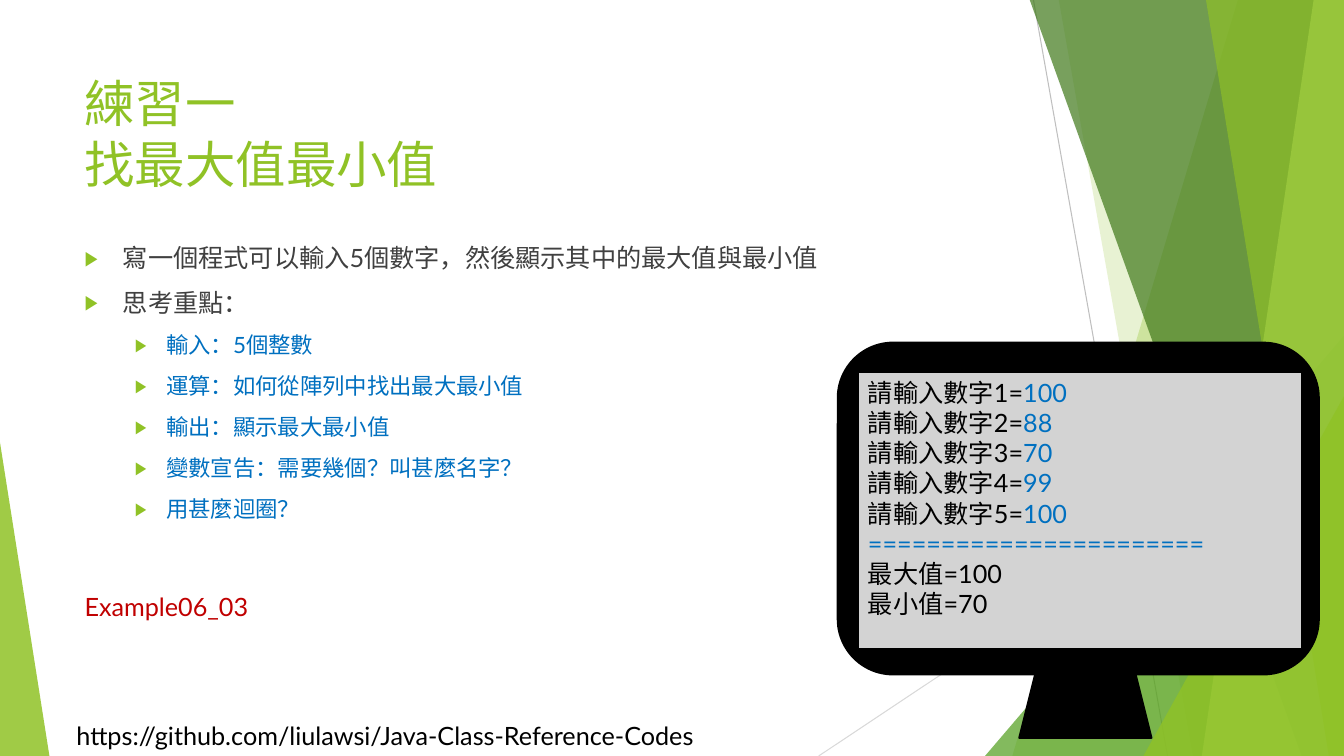
from lxml import etree
from pptx import Presentation
from pptx import util as u
from pptx.dml.color import RGBColor
from pptx.enum import shapes, text
from pptx.oxml.ns import qn

PX = 9144  # one px is a hundredth of an inch
WIDTH, HEIGHT = 1333, 750
FONT = "Lato"
COLOURS = {
    "green": "90C226", "leaf": "54A021", "forest": "3F7819", "lime": "C0E474",
    "silver": "BFBFBF", "pale": "D9D9D9", "screen": "D3D3D3", "black": "000000",
    "body": "404040", "blue": "0070C0", "red": "C00000",
}
KINDS = shapes.MSO_SHAPE

RAYS = [  # from, to, colour
    ((1025, 0), (1158, 750), "silver"),
    ((1333, 403), (812, 750), "pale"),
]
# Facets in drawing order: a band has its left x at top and bottom,
# a triangle its box and the place of its apex.
FACETS = [
    ("band", (1228, 1004), "green", 30),
    ("band", (1050, 1183), "green", 20),
    ("triangle", (977, 333, 356, 417), 1, "leaf", 72),
    ("band", (1021, 1291), "forest", 70),
    ("band", (1303, 1192), "lime", 70),
    ("band", (1196, 1318), "green", 65),
    ("triangle", (1134, 393, 199, 357), 1, "green", 80),
    ("triangle", (0, 439, 49, 311), 0, "green", 85),
]

TITLE = [("練習一", "green"), ("\v", None), ("找最大值最小值", "green")]
POINTS = ["寫一個程式可以輸入5個數字，然後顯示其中的最大值與最小值", "思考重點："]
HINTS = [
    "輸入：5個整數",
    "運算：如何從陣列中找出最大最小值",
    "輸出：顯示最大最小值",
    "變數宣告：需要幾個？叫甚麼名字？",
    "用甚麼迴圈？",
]
NUMBERS = [100, 88, 70, 99, 100]


def rgb(name):
    return RGBColor.from_string(COLOURS[name])


def px(*lengths):
    return [u.Emu(length * PX) for length in lengths]


def paint(shape, colour, opacity=100, outline=None):
    shape.shadow.inherit = False
    shape.fill.solid()
    shape.fill.fore_color.rgb = rgb(colour)
    if opacity < 100:
        colour_node = shape.fill._xPr.find(".//" + qn("a:srgbClr"))
        etree.SubElement(colour_node, qn("a:alpha"), val=str(opacity * 1000))
    if outline:
        shape.line.color.rgb = rgb(outline)
        shape.line.width = u.Pt(1.5)
    else:
        shape.line.fill.background()


def add_ray(page, start, end, colour):
    ray = page.shapes.add_connector(
        shapes.MSO_CONNECTOR.STRAIGHT, *px(*start, *end))
    ray.line.color.rgb = rgb(colour)
    ray.line.width = u.Pt(0.75)
    etree.SubElement(ray._element.spPr, qn("a:effectLst"))


def add_band(page, edge, colour, opacity):
    """Fill the page from a slanted left edge to its right side."""
    top, bottom = edge
    builder = page.shapes.build_freeform(top, -1, scale=PX)
    builder.add_line_segments([(WIDTH, -1), (WIDTH, HEIGHT), (bottom, HEIGHT)])
    paint(builder.convert_to_shape(), colour, opacity)


def add_preset(page, kind, place, colour, opacity=100, outline=None, apex=None):
    shape = page.shapes.add_shape(kind, *px(*place))
    if apex is not None:
        shape.adjustments[0] = apex
    paint(shape, colour, opacity, outline)
    return shape


def write_spans(para, spans, size):
    """Write (words, colour) pairs; a vertical tab breaks the line."""
    para.alignment = text.PP_ALIGN.LEFT
    for words, colour in spans:
        if words == "\v":
            para.add_line_break()
            continue
        span = para.add_run()
        span.text = words
        for name, value in {"name": FONT, "size": u.Pt(size)}.items():
            setattr(span.font, name, value)
        span.font.color.rgb = rgb(colour)


def write_paras(box, lines, size):
    frame = box.text_frame
    frame.vertical_anchor = text.MSO_ANCHOR.TOP
    for index, spans in enumerate(lines):
        para = frame.add_paragraph() if index else frame.paragraphs[0]
        write_spans(para, spans, size)


def add_text(page, place, spans, size, wrap=False):
    box = page.shapes.add_textbox(*px(*place))
    fit = text.MSO_AUTO_SIZE
    settings = {
        "word_wrap": wrap,
        "auto_size": fit.NONE if wrap else fit.SHAPE_TO_FIT_TEXT,
    }
    for name, value in settings.items():
        setattr(box.text_frame, name, value)
    write_paras(box, [spans], size)


def add_bullet(para, margin, hanging):
    props = para._p.get_or_add_pPr()
    props.set("marL", str(margin * PX))
    props.set("indent", str(-hanging * PX))
    tint = etree.SubElement(props, qn("a:buClr"))
    etree.SubElement(tint, qn("a:srgbClr"), val=COLOURS["green"])
    etree.SubElement(props, qn("a:buSzPct"), val="80000")
    etree.SubElement(props, qn("a:buFont"), typeface=FONT)
    etree.SubElement(props, qn("a:buChar"), char="▶")


def add_outline(page, place):
    frame = page.shapes.add_textbox(*px(*place)).text_frame
    frame.word_wrap = True
    levels = [(POINTS, 0, 38, 38, 18, "body"), (HINTS, 1, 81, 31, 16, "blue")]
    for lines, level, margin, hanging, size, colour in levels:
        for line in lines:
            first = not frame.paragraphs[0].runs
            para = frame.paragraphs[0] if first else frame.add_paragraph()
            add_bullet(para, margin, hanging)
            para.level = level
            if not first:
                para.space_before = u.Pt(10)
            write_spans(para, [(line, colour)], size)


def add_monitor(page):
    add_preset(page, KINDS.ROUNDED_RECTANGLE, (831, 340, 477, 329),
               "black", outline="black")
    screen = add_preset(page, KINDS.RECTANGLE, (851, 369, 440, 275),
                        "screen", outline="black")
    lines = [[(f"請輸入數字{index}=", "black"), (str(number), "blue")]
             for index, number in enumerate(NUMBERS, 1)]
    lines += [
        [("=" * 23, "blue")],
        [(f"最大值={max(NUMBERS)}", "black")],
        [(f"最小值={min(NUMBERS)}", "black")],
    ]
    write_paras(screen, lines, 18)
    add_preset(page, KINDS.TRAPEZOID, (1011, 669, 131, 63),
               "black", outline="black")


def add_backdrop(page):
    for ray in RAYS:
        add_ray(page, *ray)
    for kind, *facet in FACETS:
        if kind == "band":
            add_band(page, *facet)
        else:
            place, apex, colour, opacity = facet
            add_preset(page, KINDS.ISOSCELES_TRIANGLE, place, colour, opacity,
                       apex=apex)


def main():
    deck = Presentation()
    deck.slide_width, deck.slide_height = px(WIDTH, HEIGHT)
    page = deck.slides.add_slide(deck.slide_layouts[6])
    add_backdrop(page)
    add_text(page, (66, 710, 670, 40),
             [("https://github.com/liulawsi/Java-Class-Reference-Codes", "black")], 18)
    add_text(page, (74, 67, 940, 144), TITLE, 36, wrap=True)
    add_outline(page, (74, 236, 940, 424))
    add_monitor(page)
    add_text(page, (74, 582, 183, 40), [("Example06_03", "red")], 18)
    deck.save("out.pptx")


if __name__ == "__main__":
    main()
